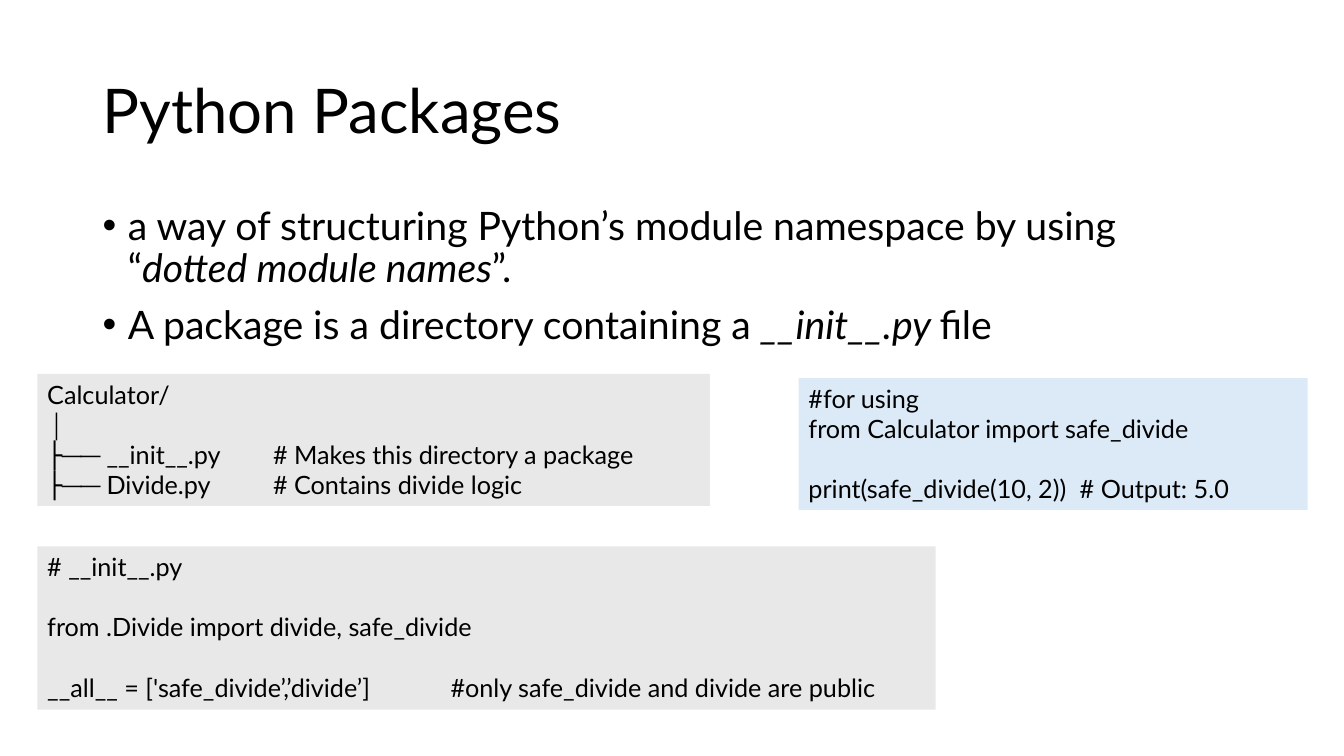
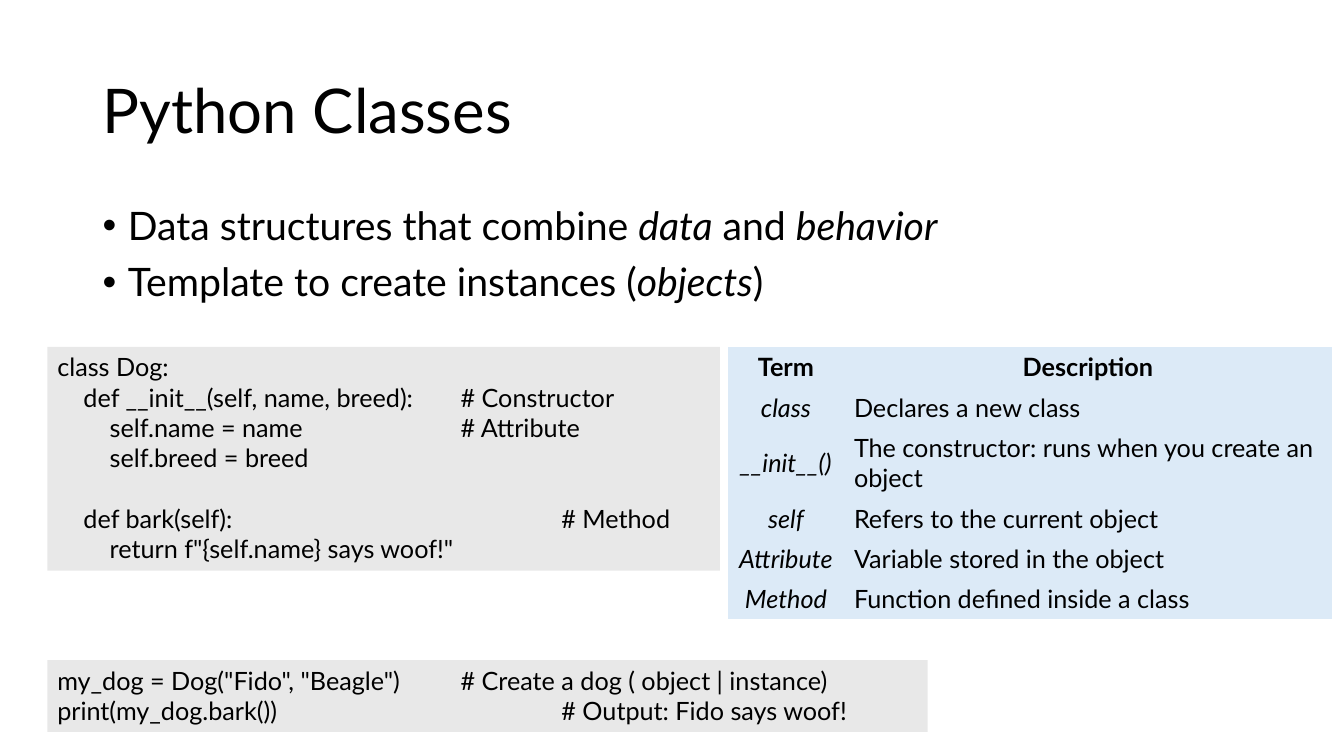
from dataclasses import dataclass

from lxml.etree import SubElement
from pptx import Presentation
from pptx.dml.color import RGBColor
from pptx.enum.text import MSO_ANCHOR, MSO_AUTO_SIZE, PP_ALIGN
from pptx.oxml.ns import qn
from pptx.slide import Slide
from pptx.util import Inches, Pt

COLORS = {"text": "000000", "gray": "E8E8E8", "blue": "DCEAF7"}
FONT = "Lato"
TITLE_SIZE, BODY_SIZE, CODE_SIZE = 44, 28, 18
CODE_LINE = 21.6  # height of one code line, in points
NO_STYLE = "{2D5ABB26-0587-4C30-8999-92F81FD0307C}"


@dataclass
class CodeBox:
    left: float
    top: float
    width: float
    height: float
    blocks: list[list[str]]  # blocks stand one line apart
    tabs: tuple[float, ...] = ()
    fill: str = "gray"


@dataclass
class Glossary:
    left: float
    top: float
    widths: tuple[float, float]
    rows: list[tuple[str, str]]
    heights: list[float]


@dataclass
class Page:
    title: str
    bullets: list[str]  # *asterisks* mark italics
    boxes: list[CodeBox]
    glossary: Glossary | None = None


def style(p, size: float, bold: bool = False) -> None:
    for r in p.runs:
        r.font.name = FONT
        r.font.size = Pt(size)
        r.font.bold = bold
        r.font.color.rgb = RGBColor.from_string(COLORS["text"])


def add_box(s: Slide, left: float, top: float, width: float, height: float):
    sp = s.shapes.add_textbox(Inches(left), Inches(top), Inches(width), Inches(height))
    sp.text_frame.word_wrap = True
    return sp


def add_title(s: Slide, title: str) -> None:
    tf = add_box(s, 0.92, 0.4, 11.5, 1.45).text_frame
    tf.vertical_anchor = MSO_ANCHOR.MIDDLE
    tf.text = title
    p = tf.paragraphs[0]
    p.line_spacing = 0.9
    style(p, TITLE_SIZE)


def add_bullets(s: Slide, bullets: list[str]) -> None:
    tf = add_box(s, 0.92, 2, 11.5, 4.76).text_frame
    for i, bullet in enumerate(bullets):
        p = tf.add_paragraph() if i else tf.paragraphs[0]
        p.line_spacing = 0.9
        p.space_before = Pt(10)
        for j, part in enumerate(bullet.split("*")):
            if part:
                r = p.add_run()
                r.text = part
                r.font.italic = j % 2 == 1
        style(p, BODY_SIZE)
        # Hanging bullet
        pPr = p._p.get_or_add_pPr()
        pPr.set("marL", str(Inches(0.25)))
        pPr.set("indent", str(Inches(-0.25)))
        SubElement(pPr, qn("a:buFont"), typeface="Arial")
        SubElement(pPr, qn("a:buChar"), char="•")


def add_code(s: Slide, box: CodeBox) -> None:
    sp = add_box(s, box.left, box.top, box.width, box.height)
    sp.fill.solid()
    sp.fill.fore_color.rgb = RGBColor.from_string(COLORS[box.fill])
    tf = sp.text_frame
    tf.auto_size = MSO_AUTO_SIZE.SHAPE_TO_FIT_TEXT
    tf.text = "\n".join(line for block in box.blocks for line in block)
    paragraphs = iter(tf.paragraphs)
    for b, block in enumerate(box.blocks):
        for n in range(len(block)):
            p = next(paragraphs)
            style(p, CODE_SIZE)
            if b and n == 0:
                p.space_before = Pt(CODE_LINE)
            if box.tabs:
                tabs = SubElement(p._p.get_or_add_pPr(), qn("a:tabLst"))
                for pos in box.tabs:
                    SubElement(tabs, qn("a:tab"), pos=str(Inches(pos)), algn="l")


def add_glossary(s: Slide, g: Glossary) -> None:
    frame = s.shapes.add_table(
        len(g.rows), len(g.widths), Inches(g.left), Inches(g.top),
        Inches(sum(g.widths)), Inches(sum(g.heights)))
    table = frame.table
    table.first_row = table.horz_banding = False
    next(frame._element.iter(qn("a:tableStyleId"))).text = NO_STYLE
    for column, width in zip(table.columns, g.widths):
        column.width = Inches(width)
    for i, (row, height) in enumerate(zip(g.rows, g.heights)):
        table.rows[i].height = Inches(height)
        for j, text in enumerate(row):
            cell = table.cell(i, j)
            cell.fill.solid()
            cell.fill.fore_color.rgb = RGBColor.from_string(COLORS["blue"])
            cell.vertical_anchor = MSO_ANCHOR.MIDDLE
            cell.text_frame.text = text
            p = cell.text_frame.paragraphs[0]
            p.alignment = PP_ALIGN.CENTER if i == 0 or j == 0 else PP_ALIGN.LEFT
            style(p, CODE_SIZE, bold=i == 0)
            p.runs[0].font.italic = i > 0 and j == 0


PAGES = [
    Page(
        "Python Packages",
        ["a way of structuring Python’s module namespace by using “*dotted module names*”.",
         "A package is a directory containing a *__init__.py *file"],
        [
            CodeBox(0.37, 3.71, 6.67, 1.31, [[
                "Calculator/",
                "│",
                "├── __init__.py\t# Makes this directory a package",
                "├── Divide.py\t# Contains divide logic",
            ]], tabs=(2.24,)),
            CodeBox(0.37, 5.42, 8.91, 1.62, [
                ["# __init__.py"],
                ["from .Divide import divide, safe_divide"],
                ["__all__ = ['safe_divide’,’divide’]\t#only safe_divide and divide are public"],
            ], tabs=(4,)),
            CodeBox(7.92, 3.75, 5.05, 1.31, [
                ["#for using", "from Calculator import safe_divide"],
                ["print(safe_divide(10, 2))\t# Output: 5.0"],
            ], tabs=(2.69,), fill="blue"),
        ],
    ),
    Page(
        "Python Classes",
        ["Data structures that combine *data* and *behavior*",
         "Template to create instances (*objects*)"],
        [
            CodeBox(0.47, 3.44, 6.67, 2.22, [
                ["class Dog:",
                 "\tdef __init__(self, name, breed):\t# Constructor",
                 "\t\tself.name = name\t# Attribute",
                 "\t\tself.breed = breed"],
                ["\tdef bark(self):\t\t# Method",
                 "\t\treturn f\"{self.name} says woof!\""],
            ], tabs=(0.26, 0.52, 4, 5)),
            CodeBox(0.47, 6.55, 8.73, 0.71, [[
                "my_dog = Dog(\"Fido\", \"Beagle\")\t# Create a dog ( object | instance)",
                "print(my_dog.bark())\t\t# Output: Fido says woof!",
            ]], tabs=(4, 5)),
        ],
        Glossary(7.22, 3.44, (1.15, 4.84), [
            ("Term", "Description"),
            ("class", "Declares a new class"),
            ("__init__()", "The constructor: runs when you create an object"),
            ("self", "Refers to the current object"),
            ("Attribute", "Variable stored in the object"),
            ("Method", "Function defined inside a class"),
        ], [0.4, 0.4, 0.7, 0.4, 0.4, 0.4]),
    ),
]


def main() -> None:
    prs = Presentation()
    prs.slide_width, prs.slide_height = Inches(13.33), Inches(7.5)
    for page in PAGES:
        s = prs.slides.add_slide(prs.slide_layouts[6])
        add_title(s, page.title)
        add_bullets(s, page.bullets)
        for box in page.boxes:
            add_code(s, box)
        if page.glossary:
            add_glossary(s, page.glossary)
    prs.save("out.pptx")


if __name__ == "__main__":
    main()
